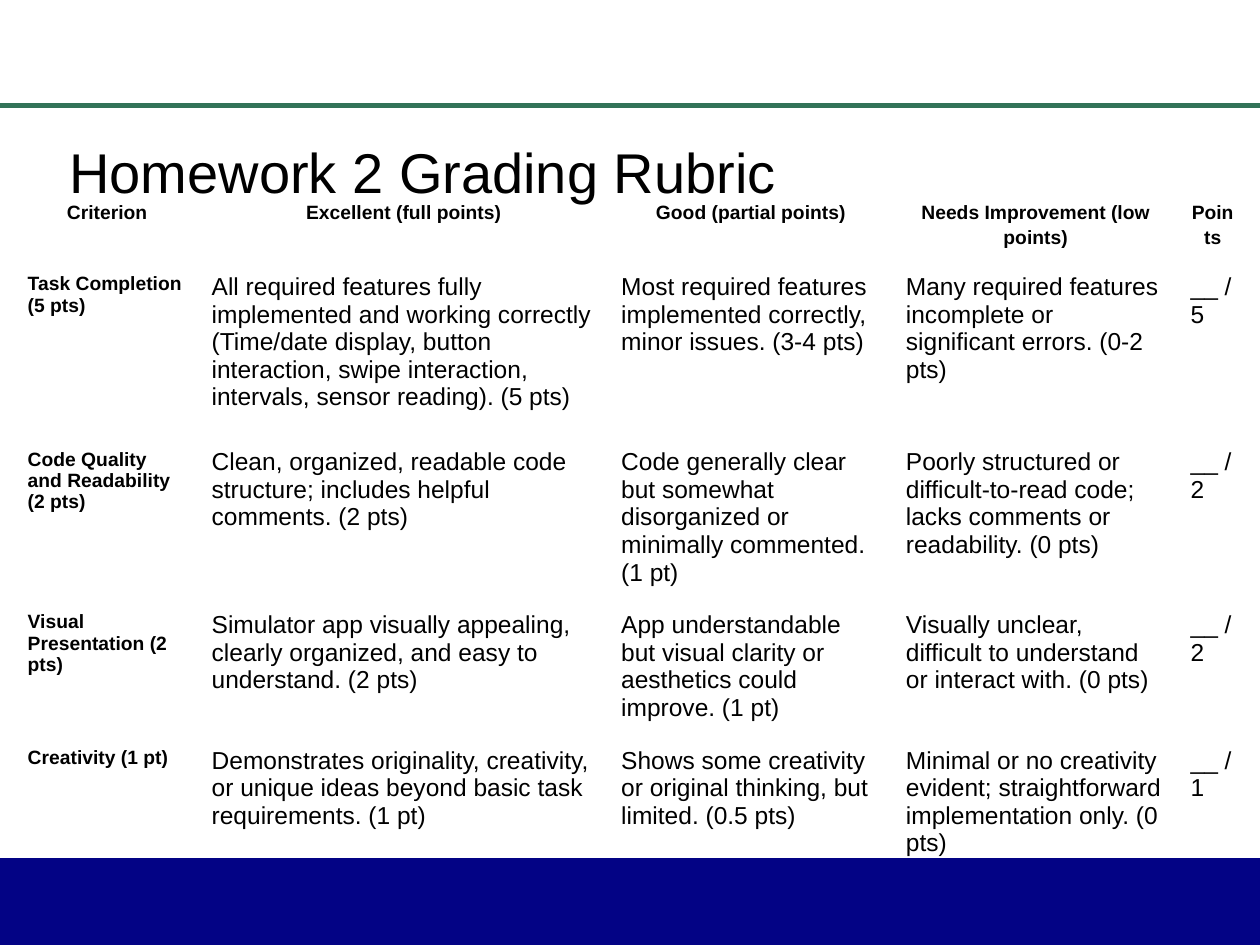
from lxml.etree import SubElement as Sub
from pptx import Presentation
from pptx.dml.color import RGBColor as Rgb
from pptx.enum.shapes import MSO_CONNECTOR as Link, MSO_SHAPE as Shape
from pptx.enum.text import MSO_ANCHOR as Anchor, PP_ALIGN as Align
from pptx.oxml.ns import qn
from pptx.util import Inches as In, Pt

WIDE, HIGH = 10, 7.5
FONT = "Arial"
HUES = {"ink": "000000", "bar": "030385", "rule": "327358"}
PLAIN = "{2D5ABB26-0587-4C30-8999-92F81FD0307C}"
COLS = [1.46, 3.25, 2.26, 2.26, 0.55]
ROWS = [0.55, 1.39, 1.19, 0.99, 1.19]
CELLS = [
    ["Criterion", "Excellent (full points)", "Good (partial points)",
     "Needs Improvement (low points)", "Points"],
    ["Task Completion (5 pts)",
     "All required features fully implemented and working correctly "
     "(Time/date display, button interaction, swipe interaction, "
     "intervals, sensor reading). (5 pts)",
     "Most required features implemented correctly, minor issues. (3-4 pts)",
     "Many required features incomplete or significant errors. (0-2 pts)",
     "__ / 5"],
    ["Code Quality and Readability (2 pts)",
     "Clean, organized, readable code structure; includes helpful comments. (2 pts)",
     "Code generally clear but somewhat disorganized or minimally commented. (1 pt)",
     "Poorly structured or difficult-to-read code; lacks comments or readability. (0 pts)",
     "__ / 2"],
    ["Visual Presentation (2 pts)",
     "Simulator app visually appealing, clearly organized, and easy to understand. (2 pts)",
     "App understandable but visual clarity or aesthetics could improve. (1 pt)",
     "Visually unclear, difficult to understand or interact with. (0 pts)",
     "__ / 2"],
    ["Creativity (1 pt)",
     "Demonstrates originality, creativity, or unique ideas beyond basic task "
     "requirements. (1 pt)",
     "Shows some creativity or original thinking, but limited. (0.5 pts)",
     "Minimal or no creativity evident; straightforward implementation only. (0 pts)",
     "__ / 1"],
]


def hue(name):
    return Rgb.from_string(HUES[name])


def style(para, size, bold=False, align=Align.LEFT):
    font = para.font
    font.name, font.size, font.bold = FONT, Pt(size), bold
    font.color.rgb = hue("ink")
    para.alignment = align


def add_bar(slide, top):
    bar = slide.shapes.add_shape(
        Shape.RECTANGLE, 0, In(top), In(WIDE), In(HIGH - top))
    bar.shadow.inherit = False
    bar.fill.solid()
    bar.fill.fore_color.rgb = hue("bar")
    bar.line.fill.background()


def add_rule(slide, y):
    rule = slide.shapes.add_connector(
        Link.STRAIGHT, 0, In(y), In(WIDE), In(y))
    rule.line.color.rgb = hue("rule")
    rule.line.width = Pt(3)
    Sub(rule.element.spPr, qn("a:effectLst"))


def set_title(slide, text):
    title = slide.shapes.title
    title.left, title.top = In(0.5), In(0.98)
    title.width, title.height = In(0.9 * WIDE), In(0.65)
    frame = title.text_frame
    frame.text = text
    frame.vertical_anchor = Anchor.TOP
    frame.margin_left = frame.margin_right = frame.margin_bottom = In(0.05)
    frame.margin_top = In(0.11)
    style(frame.paragraphs[0], 32)


def fill_cell(cell, text, head, side):
    cell.text = text
    cell.fill.background()
    cell.margin_left = cell.margin_right = In(0.1)
    cell.margin_top = cell.margin_bottom = In(0.1)
    para = cell.text_frame.paragraphs[0]
    bold = head or side
    style(para, 11 if bold else 14, bold, Align.CENTER if head else Align.LEFT)
    if head:
        para.line_spacing = 1.15


def add_grid(slide, left, top):
    frame = slide.shapes.add_table(
        len(ROWS), len(COLS), In(left), In(top), In(sum(COLS)), In(sum(ROWS)))
    grid = frame.table
    grid.horz_banding = grid.first_row = False
    grid._tbl.tblPr.find(qn("a:tableStyleId")).text = PLAIN
    for col, width in zip(grid.columns, COLS):
        col.width = In(width)
    for r, (row, height) in enumerate(zip(grid.rows, ROWS)):
        row.height = In(height)
        for c, cell in enumerate(row.cells):
            fill_cell(cell, CELLS[r][c], r == 0, c == 0)


def main():
    """Build the grading rubric slide and save it."""
    deck = Presentation()
    deck.slide_width, deck.slide_height = In(WIDE), In(HIGH)
    slide = deck.slides.add_slide(deck.slide_layouts[5])
    add_bar(slide, 6.81)
    add_rule(slide, 0.84)
    set_title(slide, "Homework 2 Grading Rubric")
    add_grid(slide, 0.12, 1.48)
    deck.save("out.pptx")


if __name__ == "__main__":
    main()
